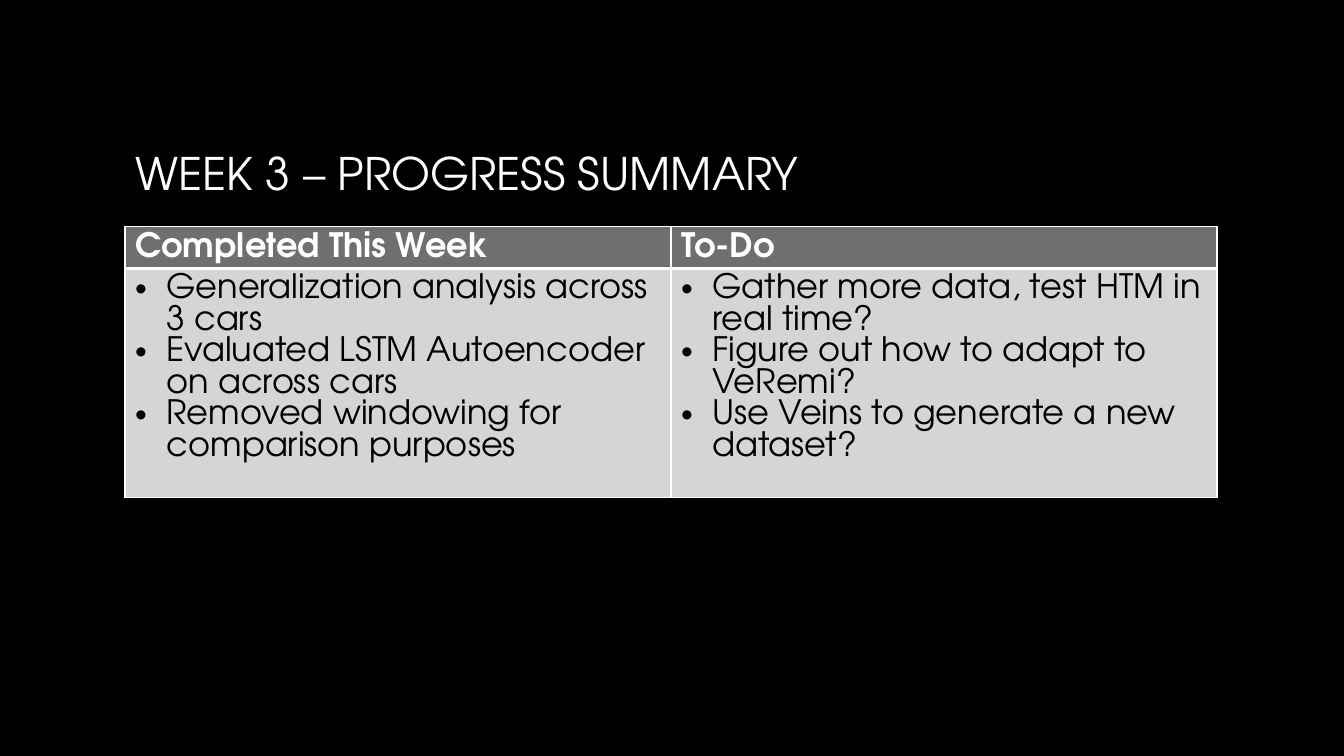
"""Build the week 3 progress summary slide."""
from lxml import etree
from pptx import Presentation
from pptx import util as u
from pptx.dml.color import RGBColor
from pptx.enum import text
from pptx.oxml.ns import qn

COLORS = {"background": "000000", "light": "FFFFFF", "dark": "000000",
          "header": "6F6F6F", "body": "D5D5D5"}
FONT = "TeX Gyre Adventor"
COLUMNS = {
    "Completed This Week": ["Generalization analysis across 3 cars",
                            "Evaluated LSTM Autoencoder on across cars",
                            "Removed windowing for comparison purposes"],
    "To-Do": ["Gather more data, test HTM in real time?",
              "Figure out how to adapt to VeRemi?",
              "Use Veins to generate a new dataset?"],
}


def style_text(paragraph, size, color, bold=False):
    for run in paragraph.runs:
        run.font.name = FONT
        run.font.size = u.Pt(size)
        run.font.bold = bold
        run.font.color.rgb = RGBColor.from_string(COLORS[color])


def style_cell(cell, fill, bottom_width):
    cell.fill.solid()
    cell.fill.fore_color.rgb = RGBColor.from_string(COLORS[fill])
    properties = cell._tc.get_or_add_tcPr()
    for index, side in enumerate(["lnL", "lnR", "lnT", "lnB"]):
        width = bottom_width if side == "lnB" else 1
        line = etree.Element(qn(f"a:{side}"), w=str(u.Pt(width)))
        solid = etree.SubElement(line, qn("a:solidFill"))
        etree.SubElement(solid, qn("a:srgbClr"), val=COLORS["light"])
        properties.insert(index, line)


presentation = Presentation()
presentation.slide_width = u.Inches(13.33)
presentation.slide_height = u.Inches(7.5)
slide = presentation.slides.add_slide(presentation.slide_layouts[6])
slide.background.fill.solid()
slide.background.fill.fore_color.rgb = RGBColor.from_string(COLORS["background"])

width = u.Inches(10.83)
title = slide.shapes.add_textbox(u.Inches(1.25), u.Inches(0.67), width, u.Inches(2.08))
title.text_frame.word_wrap = True
title.text_frame.vertical_anchor = text.MSO_ANCHOR.MIDDLE
title.text_frame.text = "WEEK 3 – PROGRESS SUMMARY"
style_text(title.text_frame.paragraphs[0], 32, "light")

row_heights = [u.Inches(0.41), u.Inches(2.27)]
table = slide.shapes.add_table(2, len(COLUMNS), u.Inches(1.24), u.Inches(2.25),
                               width, sum(row_heights)).table
for row, height in zip(table.rows, row_heights):
    row.height = height

for column, (heading, tasks) in enumerate(COLUMNS.items()):
    header, body = table.cell(0, column), table.cell(1, column)
    style_cell(header, "header", 3)
    style_cell(body, "body", 1)
    header.text_frame.text = heading
    header_paragraph = header.text_frame.paragraphs[0]
    header_paragraph.line_spacing = u.Pt(22.5)
    style_text(header_paragraph, 24, "light", bold=True)
    body.text_frame.text = "\n".join(tasks)
    for paragraph in body.text_frame.paragraphs:
        paragraph.line_spacing = u.Pt(22.5)
        style_text(paragraph, 24, "dark")
        properties = paragraph._p.get_or_add_pPr()
        properties.set("marL", str(u.Inches(0.31)))
        properties.set("indent", str(-u.Inches(0.31)))
        etree.SubElement(properties, qn("a:buFont"), typeface="Arial")
        etree.SubElement(properties, qn("a:buChar"), char="•")

presentation.save("out.pptx")
